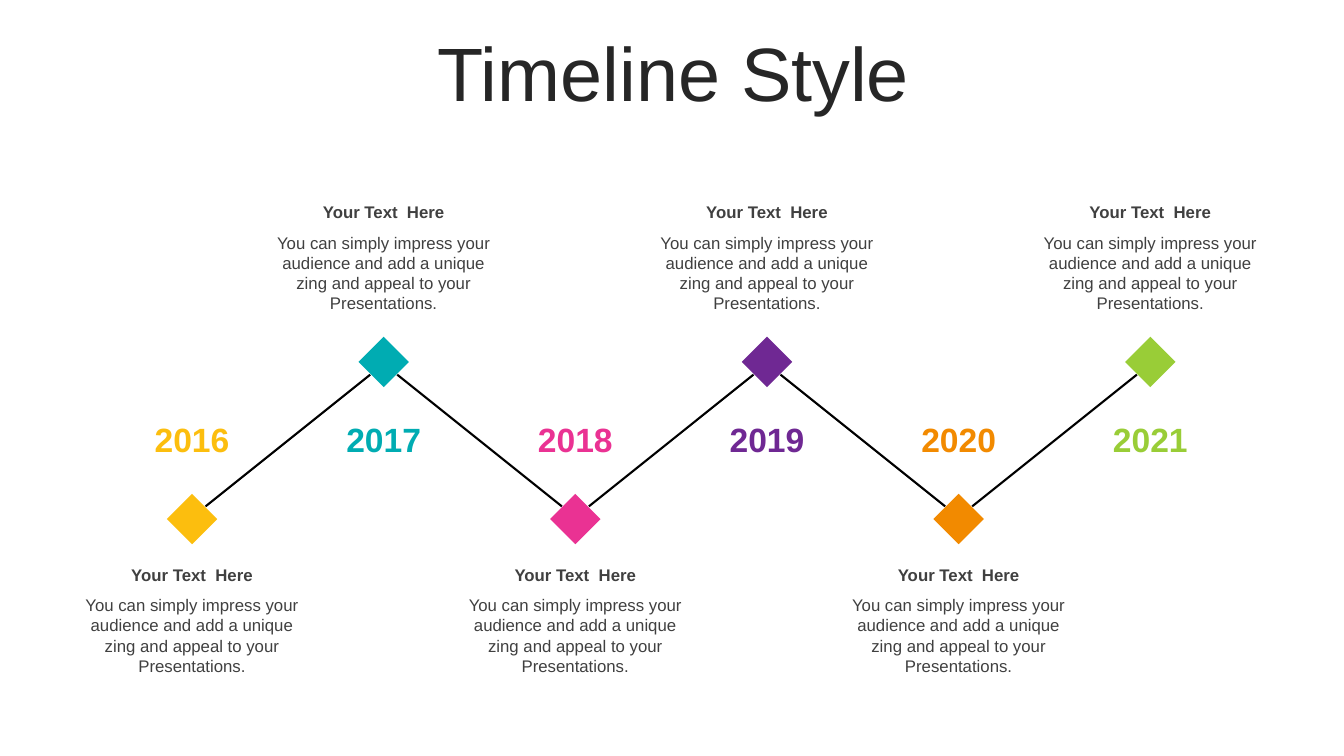
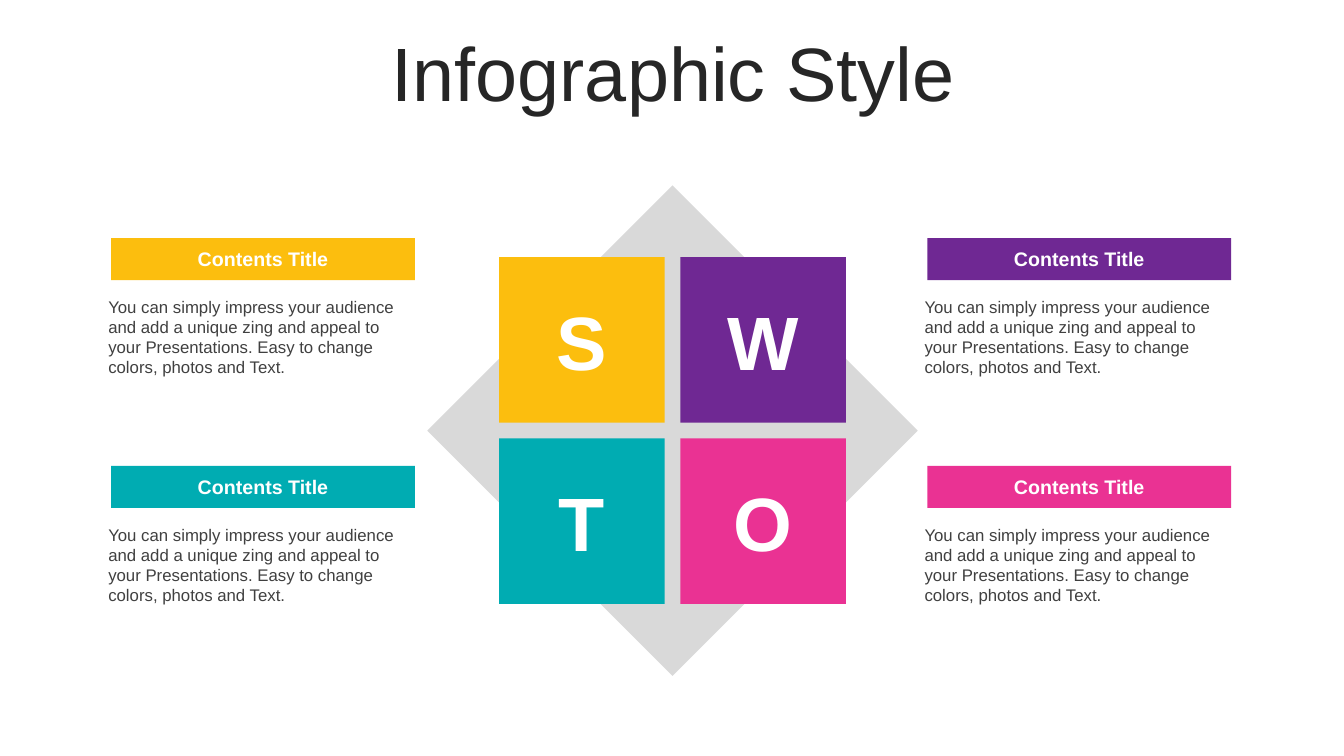
from dataclasses import dataclass

from lxml import etree
from pptx import Presentation
from pptx.dml.color import RGBColor
from pptx.enum.shapes import MSO_CONNECTOR, MSO_SHAPE
from pptx.enum.text import MSO_ANCHOR, MSO_AUTO_SIZE, PP_ALIGN
from pptx.oxml.ns import qn
from pptx.util import Cm, Pt

DIAMOND, RECT = MSO_SHAPE.DIAMOND, MSO_SHAPE.RECTANGLE
STRAIGHT = MSO_CONNECTOR.STRAIGHT
LEFT, CENTER = PP_ALIGN.LEFT, PP_ALIGN.CENTER
TOP, MIDDLE = MSO_ANCHOR.TOP, MSO_ANCHOR.MIDDLE


@dataclass(frozen=True)
class Theme:
    font: str = "Arial"
    ink: str = "262626"
    text: str = "404040"
    white: str = "FFFFFF"
    black: str = "000000"
    grey: str = "D9D9D9"
    gold: str = "FCBE0E"
    teal: str = "00ACB2"
    pink: str = "EA3293"
    purple: str = "6F2893"
    orange: str = "F28A00"
    green: str = "99CD37"
    huge: int = 54
    large: int = 24
    label: int = 14
    small: int = 12


theme = Theme()


def write(shape, words, size, color, bold=False, align=CENTER, anchor=TOP):
    frame = shape.text_frame
    layout = {"word_wrap": True, "auto_size": MSO_AUTO_SIZE.NONE,
              "vertical_anchor": anchor}
    for key, value in layout.items():
        setattr(frame, key, value)
    para = frame.paragraphs[0]
    para.text = words
    para.alignment = align
    font = para.runs[0].font
    style = {"name": theme.font, "size": Pt(size), "bold": bold}
    for key, value in style.items():
        setattr(font, key, value)
    font.color.rgb = RGBColor.from_string(color)


def draw(slide, kind, box, color):
    """Add a plain filled shape; box is left, top, width, height in cm."""
    shape = slide.shapes.add_shape(kind, *map(Cm, box))
    shape.shadow.inherit = False
    shape.fill.solid()
    shape.fill.fore_color.rgb = RGBColor.from_string(color)
    shape.line.fill.background()
    return shape


deck = Presentation()
deck.slide_width, deck.slide_height = Cm(33.87), Cm(19.05)

# Titles
slides = []
for words in ("Timeline Style", "Infographic Style"):
    slide = deck.slides.add_slide(deck.slide_layouts[5])
    title = slide.shapes.title
    place = {"left": 0.89, "top": 0.94, "width": 32.16, "height": 2.01}
    for key, value in place.items():
        setattr(title, key, Cm(value))
    write(title, words, theme.huge, theme.ink, anchor=MIDDLE)
    title.text_frame.paragraphs[0].line_spacing = 0.9
    slides.append(slide)
timeline, swot = slides

# Timeline: odd steps sit high, even steps sit low
pitch, side = 4.83, 1.27
high, low = 9.12, 13.08
years = [("2016", theme.gold), ("2017", theme.teal), ("2018", theme.pink),
         ("2019", theme.purple), ("2020", theme.orange), ("2021", theme.green)]
pitch_text = ("You can simply impress your audience and add a unique zing "
              "and appeal to your Presentations.")
dots = [(4.84 + pitch * i, high if i % 2 else low) for i in range(len(years))]

for (x1, y1), (x2, y2) in zip(dots, dots[1:]):
    dy = 0.32 if y2 > y1 else -0.32
    ends = map(Cm, (x1 + 0.34, y1 + dy, x2 - 0.34, y2 - dy))
    link = timeline.shapes.add_connector(STRAIGHT, *ends)
    link.line.color.rgb = RGBColor.from_string(theme.black)
    link.line.width = Pt(1.5)
    etree.SubElement(link._element.spPr, qn("a:effectLst"))

for (x, y), (year, color) in zip(dots, years):
    draw(timeline, DIAMOND, (x - side / 2, y - side / 2, side, side), color)
    head = 4.97 if y == high else 14.1
    rows = [
        (year, 10.42, 2.56, 1.27, theme.large, color, True),
        ("Your Text  Here", head, 6.32, 0.76, theme.small, theme.text, True),
        (pitch_text, head + 0.77, 6.32, 2.31, theme.small, theme.text, False),
    ]
    for words, top, wide, tall, size, ink, bold in rows:
        box = map(Cm, (x - wide / 2, top, wide, tall))
        write(timeline.shapes.add_textbox(*box), words, size, ink, bold)

# SWOT: a tilted square behind a two by two grid, with a panel for each tile
tile, step = 4.17, 4.57
left, top = 12.58, 6.48
span = tile + step
back = draw(swot, RECT, (left, top, span, span), theme.grey)
back.rotation = 315
note = pitch_text + " Easy to change colors, photos and Text."
parts = [("S", theme.gold), ("W", theme.purple),
         ("T", theme.teal), ("O", theme.pink)]

for i, (letter, color) in enumerate(parts):
    row, col = divmod(i, 2)
    cell = draw(swot, RECT, (left + col * step, top + row * step, tile, tile),
                color)
    write(cell, letter, theme.huge, theme.white, True, anchor=MIDDLE)
    x, y = 2.8 + col * 20.57, 6 + row * 5.74
    band = draw(swot, RECT, (x, y, 7.66, 1.06), color)
    write(band, "Contents Title", theme.label, theme.white, True,
          anchor=MIDDLE)
    box = map(Cm, (x - 0.32, y + 1.35, 8.28, 2.31))
    write(swot.shapes.add_textbox(*box), note, theme.small, theme.text,
          align=LEFT)

deck.save("out.pptx")
